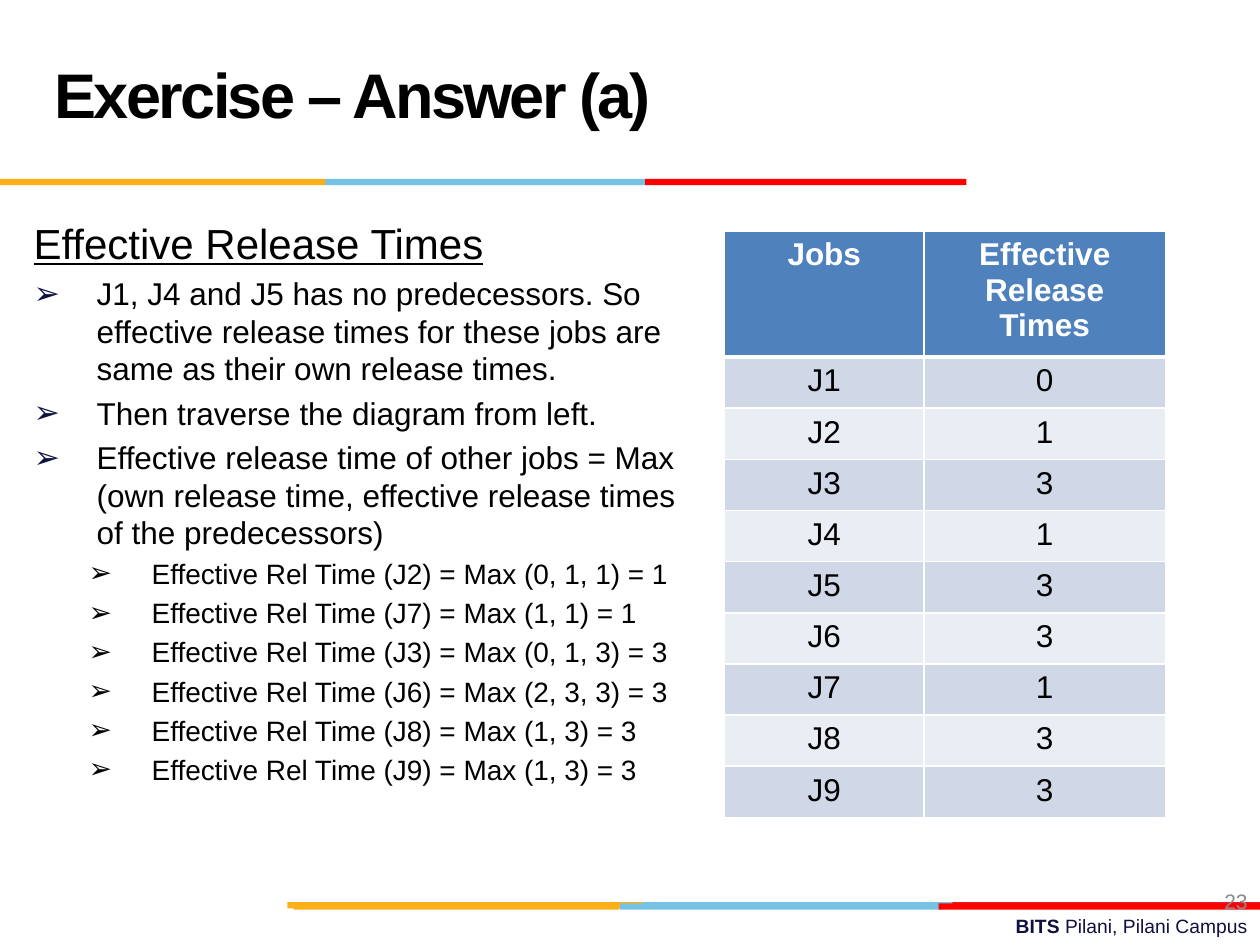
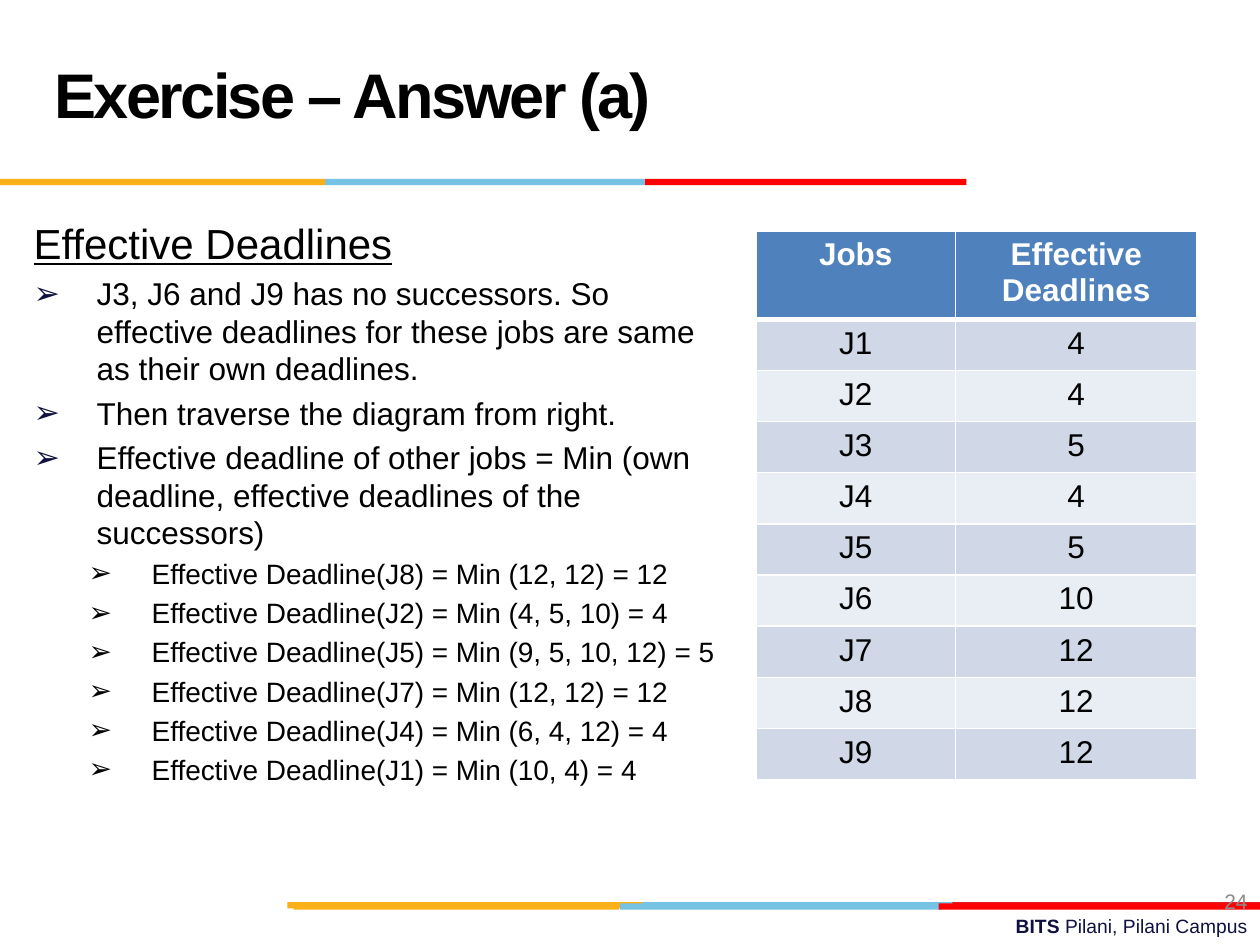
from dataclasses import dataclass
from typing import NamedTuple

from lxml.etree import SubElement
from pptx import Presentation
from pptx.dml.color import RGBColor
from pptx.enum.shapes import MSO_SHAPE
from pptx.enum.text import MSO_ANCHOR, MSO_AUTO_SIZE, PP_ALIGN
from pptx.oxml.ns import qn
from pptx.util import Pt

FONT = "Arial"
BLACK = RGBColor(0x00, 0x00, 0x00)
WHITE = RGBColor(0xFF, 0xFF, 0xFF)
NAVY = RGBColor(0x10, 0x11, 0x41)
GREY = RGBColor(0x8C, 0x8C, 0x8C)
GOLD = RGBColor(0xFC, 0xB0, 0x17)
SKY = RGBColor(0x76, 0xC2, 0xE5)
CRIMSON = RGBColor(0xE3, 0x1C, 0x24)
RED = RGBColor(0xFF, 0x00, 0x00)
HEADER_BLUE = RGBColor(0x4F, 0x81, 0xBD)
ROW_DARK = RGBColor(0xD0, 0xD8, 0xE8)
ROW_LIGHT = RGBColor(0xE9, 0xED, 0xF4)

COLUMN_WIDTHS = (114, 138)
ROW_HEIGHT = 29.25
TABLE_TOP = 132


class Strip(NamedTuple):
    left: float
    top: float
    width: float
    color: RGBColor


class BulletStyle(NamedTuple):
    size: float
    margin: float
    line: float
    before: float
    color: RGBColor


@dataclass(frozen=True)
class Answer:
    number: int
    heading: str
    rules: tuple[str, ...]
    workings: tuple[str, ...]
    column: str
    values: tuple[int, ...]
    body_width: float
    table_left: float


STRIPS = (
    Strip(364.3, 515.5, 183.6, SKY),
    Strip(544.3, 515.5, 175.7, CRIMSON),
    Strip(164.2, 515.5, 203, GOLD),
    Strip(354.2, 516.2, 183.6, SKY),
    Strip(167.8, 516.2, 185.8, GOLD),
    Strip(536.4, 516.2, 183.6, RED),
    Strip(185.8, 102.2, 183.6, SKY),
    Strip(0, 102.2, 185.8, GOLD),
    Strip(368.6, 102.2, 183.6, RED),
)
BULLET_STYLES = (
    BulletStyle(18, 36, 21.4, 4, NAVY),
    BulletStyle(16, 67.5, 18.8, 3.6, BLACK),
)

ANSWERS = (
    Answer(
        23,
        "Effective Release Times",
        (
            "J1, J4 and J5 has no predecessors. So effective release times for "
            "these jobs are same as their own release times.",
            "Then traverse the diagram from left.",
            "Effective release time of other jobs = Max (own release time, "
            "effective release times of the predecessors)",
        ),
        (
            "Effective Rel Time (J2) = Max (0, 1, 1) = 1",
            "Effective Rel Time (J7) = Max (1, 1) = 1",
            "Effective Rel Time (J3) = Max (0, 1, 3) = 3",
            "Effective Rel Time (J6) = Max (2, 3, 3) = 3",
            "Effective Rel Time (J8) = Max (1, 3) = 3",
            "Effective Rel Time (J9) = Max (1, 3) = 3",
        ),
        "Effective Release Times",
        (0, 1, 3, 1, 3, 3, 1, 3, 3),
        390,
        414,
    ),
    Answer(
        24,
        "Effective Deadlines",
        (
            "J3, J6 and J9 has no successors. So effective deadlines for these "
            "jobs are same as their own deadlines.",
            "Then traverse the diagram from right.",
            "Effective deadline of other jobs = Min (own deadline, effective "
            "deadlines of the successors)",
        ),
        (
            "Effective Deadline(J8) = Min (12, 12) = 12",
            "Effective Deadline(J2) = Min (4, 5, 10) = 4",
            "Effective Deadline(J5) = Min (9, 5, 10, 12) = 5",
            "Effective Deadline(J7) = Min (12, 12) = 12",
            "Effective Deadline(J4) = Min (6, 4, 12) = 4",
            "Effective Deadline(J1) = Min (10, 4) = 4",
        ),
        "Effective Deadlines",
        (4, 4, 5, 4, 5, 10, 12, 12, 12),
        408,
        432,
    ),
)


def place(shape, left: float, top: float, width: float, height: float) -> None:
    shape.left, shape.top = Pt(left), Pt(top)
    shape.width, shape.height = Pt(width), Pt(height)


def add_span(para, text: str, size: float, color: RGBColor, bold: bool = False):
    span = para.add_run()
    span.text = text
    span.font.name = FONT
    span.font.size = Pt(size)
    span.font.bold = bold
    span.font.color.rgb = color
    return span


def add_right_box(page, left: float, top: float, width: float, height: float):
    box = page.shapes.add_textbox(Pt(left), Pt(top), Pt(width), Pt(height))
    box.text_frame.word_wrap = True
    para = box.text_frame.paragraphs[0]
    para.alignment = PP_ALIGN.RIGHT
    return box, para


def add_frame(page, number: int) -> None:
    _, para = add_right_box(page, 257.8, 519.1, 462.2, 20.9)
    add_span(para, "BITS ", 11, NAVY, bold=True)
    add_span(para, "Pilani, Pilani Campus", 11, NAVY)
    for strip in STRIPS:
        band = page.shapes.add_shape(
            MSO_SHAPE.RECTANGLE, Pt(strip.left), Pt(strip.top), Pt(strip.width), Pt(3.6)
        )
        band.shadow.inherit = False
        band.fill.solid()
        band.fill.fore_color.rgb = strip.color
        band.line.fill.background()
    box, para = add_right_box(page, 552, 500.4, 168, 28.8)
    box.text_frame.vertical_anchor = MSO_ANCHOR.MIDDLE
    add_span(para, str(number), 12, GREY)


def fill_title(page) -> None:
    title = page.shapes.title
    place(title, 24, 12, 498, 90)
    frame = title.text_frame
    frame.auto_size = MSO_AUTO_SIZE.NONE
    frame.vertical_anchor = MSO_ANCHOR.MIDDLE
    para = frame.paragraphs[0]
    para.alignment = PP_ALIGN.LEFT
    para.line_spacing = Pt(36)
    span = add_span(para, "Exercise – Answer (a)", 36, BLACK, bold=True)
    span._r.get_or_add_rPr().set("spc", "-150")


def add_bullet(para, text: str, level: int) -> None:
    style = BULLET_STYLES[level]
    properties = para._p.get_or_add_pPr()
    properties.set("marL", str(Pt(style.margin)))
    properties.set("indent", str(Pt(-36)))
    color = SubElement(properties, qn("a:buClr"))
    SubElement(color, qn("a:srgbClr"), val=str(style.color))
    SubElement(properties, qn("a:buFont"), typeface=FONT)
    SubElement(properties, qn("a:buChar"), char="➢")
    para.level = level
    para.line_spacing = Pt(style.line)
    para.space_before = Pt(style.before)
    add_span(para, text, style.size, BLACK)


def fill_body(page, answer: Answer) -> None:
    body = page.placeholders[1]
    place(body, 12, 120.6, answer.body_width, 353)
    frame = body.text_frame
    frame.auto_size = MSO_AUTO_SIZE.NONE
    heading = frame.paragraphs[0]
    properties = heading._p.get_or_add_pPr()
    properties.set("marL", "0")
    properties.set("indent", "0")
    SubElement(properties, qn("a:buNone"))
    heading.space_before = Pt(0)
    add_span(heading, answer.heading, 24, BLACK).font.underline = True
    for level, texts in enumerate((answer.rules, answer.workings)):
        for text in texts:
            add_bullet(frame.add_paragraph(), text, level)


def set_borders(cell, top: float, bottom: float) -> None:
    properties = cell._tc.get_or_add_tcPr()
    for side, width in (("L", 1), ("R", 1), ("T", top), ("B", bottom)):
        line = SubElement(properties, qn(f"a:ln{side}"), w=str(Pt(width)))
        paint = SubElement(line, qn("a:solidFill"))
        SubElement(paint, qn("a:srgbClr"), val=str(WHITE))


def add_job_table(page, answer: Answer) -> None:
    rows = [("Jobs", answer.column)]
    rows += [(f"J{job}", str(value)) for job, value in enumerate(answer.values, 1)]
    table = page.shapes.add_table(
        len(rows), len(COLUMN_WIDTHS), Pt(answer.table_left), Pt(TABLE_TOP),
        Pt(sum(COLUMN_WIDTHS)), Pt(ROW_HEIGHT * len(rows)),
    ).table
    for column, width in zip(table.columns, COLUMN_WIDTHS):
        column.width = Pt(width)
    for index, texts in enumerate(rows):
        table.rows[index].height = Pt(ROW_HEIGHT)
        is_header = index == 0
        fill = HEADER_BLUE if is_header else ROW_DARK if index % 2 else ROW_LIGHT
        for position, text in enumerate(texts):
            cell = table.cell(index, position)
            set_borders(cell, 3 if index == 1 else 1, 3 if is_header else 1)
            cell.fill.solid()
            cell.fill.fore_color.rgb = fill
            para = cell.text_frame.paragraphs[0]
            para.alignment = PP_ALIGN.CENTER
            add_span(para, text, 18, WHITE if is_header else BLACK, is_header)


def main() -> None:
    deck = Presentation()
    deck.slide_width, deck.slide_height = Pt(720), Pt(540)
    for answer in ANSWERS:
        page = deck.slides.add_slide(deck.slide_layouts[1])
        add_frame(page, answer.number)
        fill_title(page)
        fill_body(page, answer)
        add_job_table(page, answer)
    deck.save("out.pptx")


if __name__ == "__main__":
    main()
